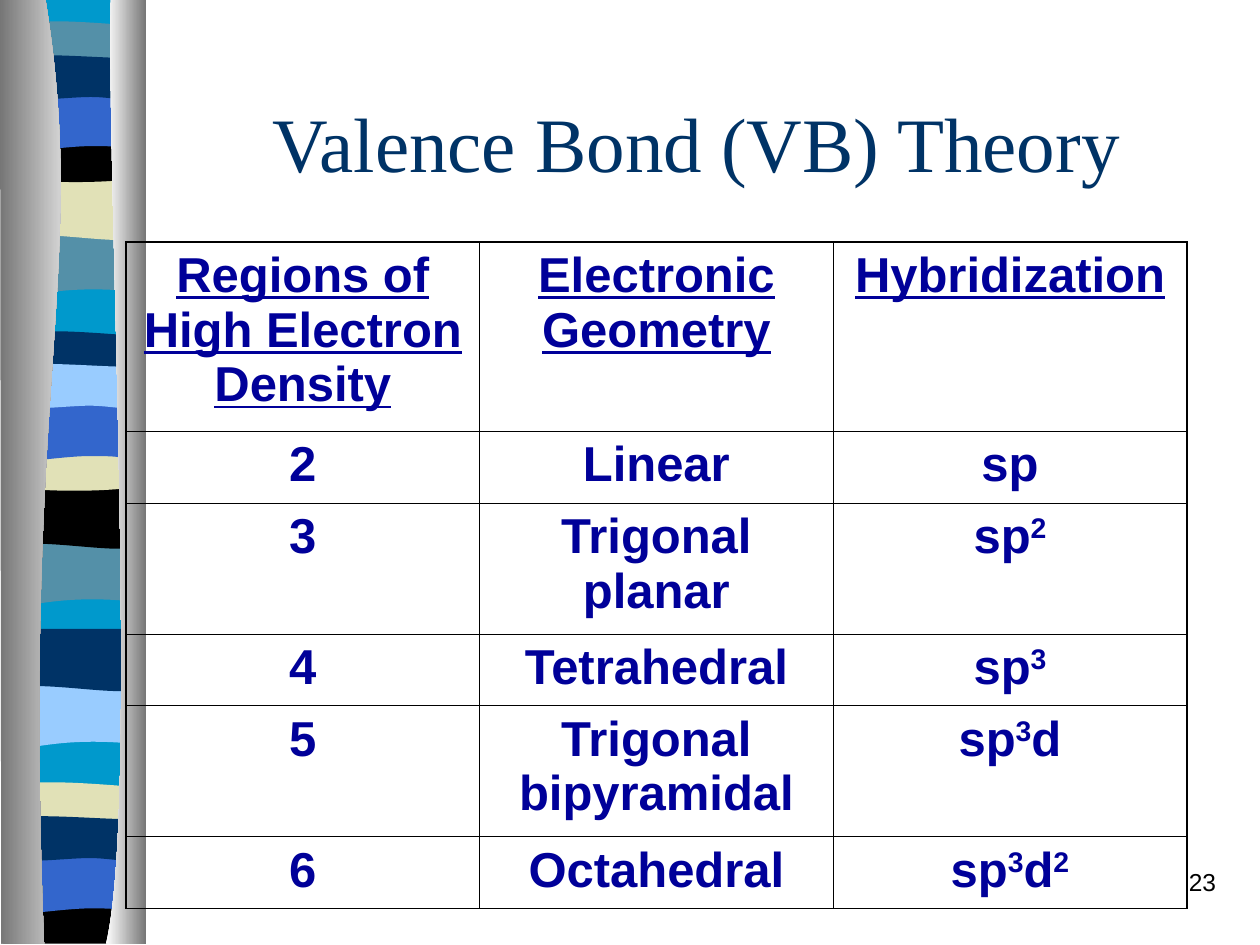
from lxml.etree import SubElement
from pptx import Presentation
from pptx.dml.color import RGBColor
from pptx.enum.text import MSO_ANCHOR, PP_ALIGN
from pptx.oxml.ns import qn
from pptx.util import Inches, Pt

THEME = {
    "cyan": "0099CC", "teal": "5490A8", "sand": "E1E1B7", "black": "000000",
    "blue": "3366CC", "navy": "003366", "sky": "99CCFF", "ink": "000099",
    "steel": "767676", "white": "FFFFFF",
    "serif": "Times New Roman", "sans": "Arial",
    "title": 44, "cell": 28, "number": 14,
    "outer_border": 1.08, "inner_border": 0.45,
}

deck = Presentation()
deck.slide_width, deck.slide_height = Inches(10), Inches(7.5)
page = deck.slides.add_slide(deck.slide_layouts[6])
COLUMN = deck.slide_width / 10
ROW = deck.slide_height / 7.5


def add_outline(outline, left=0, top=0):
    """Draw a closed outline; a pair is a corner, six numbers are a Bezier curve."""
    points = [((left + x) * COLUMN, (top + y) * ROW)
              for step in outline for x, y in zip(step[::2], step[1::2])]
    builder = page.shapes.build_freeform(*points[0])
    builder.add_line_segments(points[1:], close=True)
    shape = builder.convert_to_shape()
    shape.shadow.inherit = False
    shape.line.fill.background()
    # Join the three lines through a curve's control points into one curve
    contour = shape._element.find(".//" + qn("a:path"))
    lines = iter(contour.findall(qn("a:lnTo")))
    for step in outline[1:]:
        first = next(lines)
        if len(step) == 6:
            curve = SubElement(contour, qn("a:cubicBezTo"))
            first.addprevious(curve)
            for line in (first, next(lines), next(lines)):
                curve.append(line[0])
                contour.remove(line)
    return shape


def add_span(para, text, size, font, color, bold=False, underline=False):
    span = para.add_run()
    span.text = text
    span.font.size, span.font.name = Pt(THEME[size]), THEME[font]
    span.font.color.rgb = RGBColor.from_string(THEME[color])
    span.font.bold, span.font.underline = bold, underline
    return span


# Ribbon of coloured bands
W = 1.08
BANDS = {
    "base": [(W, 0), (W, 7.48), (0, 7.48), (0, 0)],
    "swag": [(W, 0), (W, 0.47), (0.33, 0.39, 0.18, 0.55, 0, 0.47), (0, 0)],
    "slab": [(W, 0), (W, 0.47), (0.9, 0.55, 0.33, 0.41, 0, 0.47), (0, 0)],
    "lens": [(W, 0.05), (W, 0.29), (0.9, 0.33, 0.18, 0.33, 0, 0.29), (0, 0.05),
             (0.06, 0, 0.23, 0.01, 0.41, 0.01), (0.59, 0.01, 0.94, 0.04, W, 0.05)],
    "bowl": [(W, 0), (W, 0.32), (0.9, 0.38, 0.18, 0.38, 0, 0.32), (0, 0),
             (0.66, 0.05, 0.85, 0, W, 0)],
    "foot": [(W, 0), (W, 0.37), (0, 0.37), (0, 0), (0.66, 0.05, 0.85, 0, W, 0)],
    "arch": [(W, 0), (W, 0.47), (0.91, 0.42, 0.84, 0.42, 0.66, 0.42),
             (0.48, 0.42, 0.16, 0.47, 0, 0.47), (0, 0)],
    "wave": [(W, 0.05), (W, 0.36), (1.01, 0.41, 0.84, 0.36, 0.66, 0.36),
             (0.48, 0.36, 0.11, 0.41, 0, 0.36), (0, 0.05),
             (0.15, 0, 0.73, 0.05, 0.91, 0.05), (1.09, 0.05, 1.04, 0.05, W, 0.05)],
}
RIBBON = [
    ("base", 0.06, -0.01, "cyan"),
    ("swag", 0.06, 1.85, "teal"), ("slab", 0.06, 1.41, "sand"),
    ("lens", 0.06, 0.16, "teal"), ("bowl", 0.06, 1.08, "black"),
    ("arch", 0.06, 0.74, "blue"), ("wave", 0.06, 0.41, "navy"),
    ("swag", 0.05, 4.31, "teal"), ("slab", 0.05, 3.86, "black"),
    ("lens", 0.05, 2.62, "navy"), ("bowl", 0.05, 3.53, "sand"),
    ("arch", 0.05, 3.2, "blue"), ("wave", 0.05, 2.86, "sky"),
    ("swag", 0.06, 5.44, "sky"), ("slab", 0.06, 4.99, "navy"),
    ("lens", 0.05, 6.2, "sand"), ("foot", 0.05, 7.12, "black"),
    ("arch", 0.05, 6.79, "blue"), ("wave", 0.05, 6.45, "navy"),
]
for band, left, top, color in RIBBON:
    shape = add_outline(BANDS[band], left, top)
    shape.fill.solid()
    shape.fill.fore_color.rgb = RGBColor.from_string(THEME[color])

# Shaded curtains on both sides of the ribbon
CURTAINS = [
    ([(0.36, -0.01), (0.71, 2.16, 0.17, 2.96, 0.35, 7.49), (0.01, 7.49), (0, -0.01)],
     ("steel", "white")),
    ([(0.88, -0.01), (0.84, 1.25, 1.11, 6.46, 0.84, 7.49), (1.16, 7.49), (1.16, 0)],
     ("white", "steel")),
]
for outline, colors in CURTAINS:
    fill = add_outline(outline).fill
    fill.gradient()
    fill.gradient_angle = 0
    for stop, color in zip(fill.gradient_stops, colors):
        stop.color.rgb = RGBColor.from_string(THEME[color])

# Title and page number
LABELS = [
    ("Valence Bond (VB) Theory", (1.28, 0.5, 8.5, 1.25), MSO_ANCHOR.MIDDLE,
     PP_ALIGN.CENTER, 0, ("title", "serif", "navy")),
    ("23", (7.67, 6.83, 2.08, 0.5), MSO_ANCHOR.TOP,
     PP_ALIGN.RIGHT, 8.8, ("number", "sans", "black")),
]
for text, (left, top, width, height), anchor, align, before, style in LABELS:
    box = page.shapes.add_textbox(int(left * COLUMN), int(top * ROW),
                                  int(width * COLUMN), int(height * ROW))
    frame = box.text_frame
    frame.word_wrap, frame.vertical_anchor = True, anchor
    para = frame.paragraphs[0]
    para.alignment, para.space_before = align, Pt(before)
    add_span(para, text, *style)

# Hybridization table; "|" parts the runs and "^" raises one
CELLS = [
    ("Regions of High Electron Density", "Electronic Geometry", "Hybridization"),
    ("2", "Linear", "sp"),
    ("3", "Trigonal planar", "sp|^2"),
    ("4", "Tetrahedral", "sp|^3"),
    ("5", "Trigonal bipyramidal", "sp|^3|d"),
    ("6", "Octahedral", "sp|^3|d|^2"),
]
HEIGHTS = [1.5, 0.57, 1.04, 0.57, 1.04, 0.57]
last_row, last_column = len(CELLS) - 1, len(CELLS[0]) - 1
table = page.shapes.add_table(len(CELLS), len(CELLS[0]), int(COLUMN), int(1.92 * ROW),
                              int(8.42 * COLUMN), int(sum(HEIGHTS) * ROW)).table
table.first_row = table.horz_banding = False
for r, (texts, height) in enumerate(zip(CELLS, HEIGHTS)):
    table.rows[r].height = int(height * ROW)
    for c, text in enumerate(texts):
        cell = table.cell(r, c)
        para = cell.text_frame.paragraphs[0]
        para.alignment, para.space_before = PP_ALIGN.CENTER, Pt(7)
        for part in text.split("|"):
            span = add_span(para, part.lstrip("^"), "cell", "sans", "ink", True, r == 0)
            if part.startswith("^"):
                span.font._element.set("baseline", "30000")
        properties = cell._tc.get_or_add_tcPr()
        edges = {"lnL": c == 0, "lnR": c == last_column,
                 "lnT": r == 0, "lnB": r == last_row}
        for edge, outer in edges.items():
            weight = THEME["outer_border" if outer else "inner_border"]
            border = SubElement(properties, qn(f"a:{edge}"), w=str(Pt(weight)))
            paint = SubElement(border, qn("a:solidFill"))
            SubElement(paint, qn("a:srgbClr"), val=THEME["black"])
        cell.fill.background()

deck.save("out.pptx")
